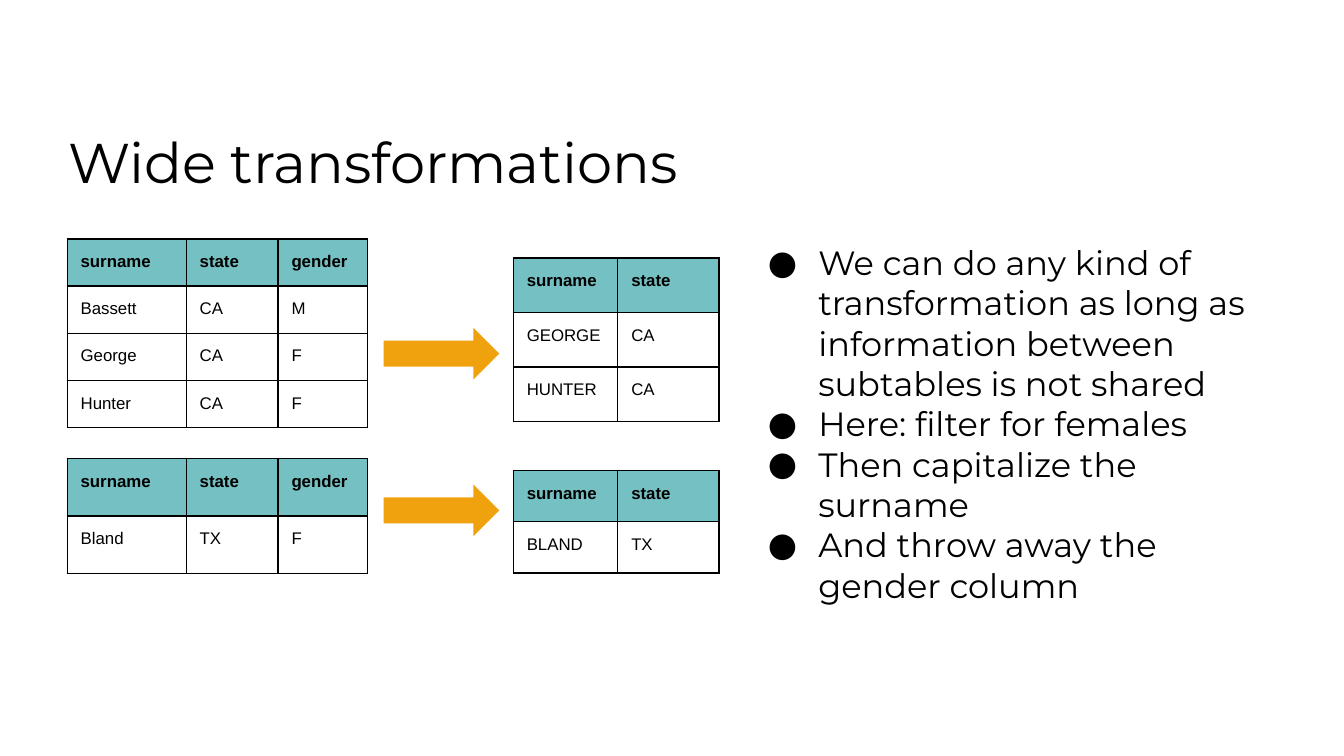
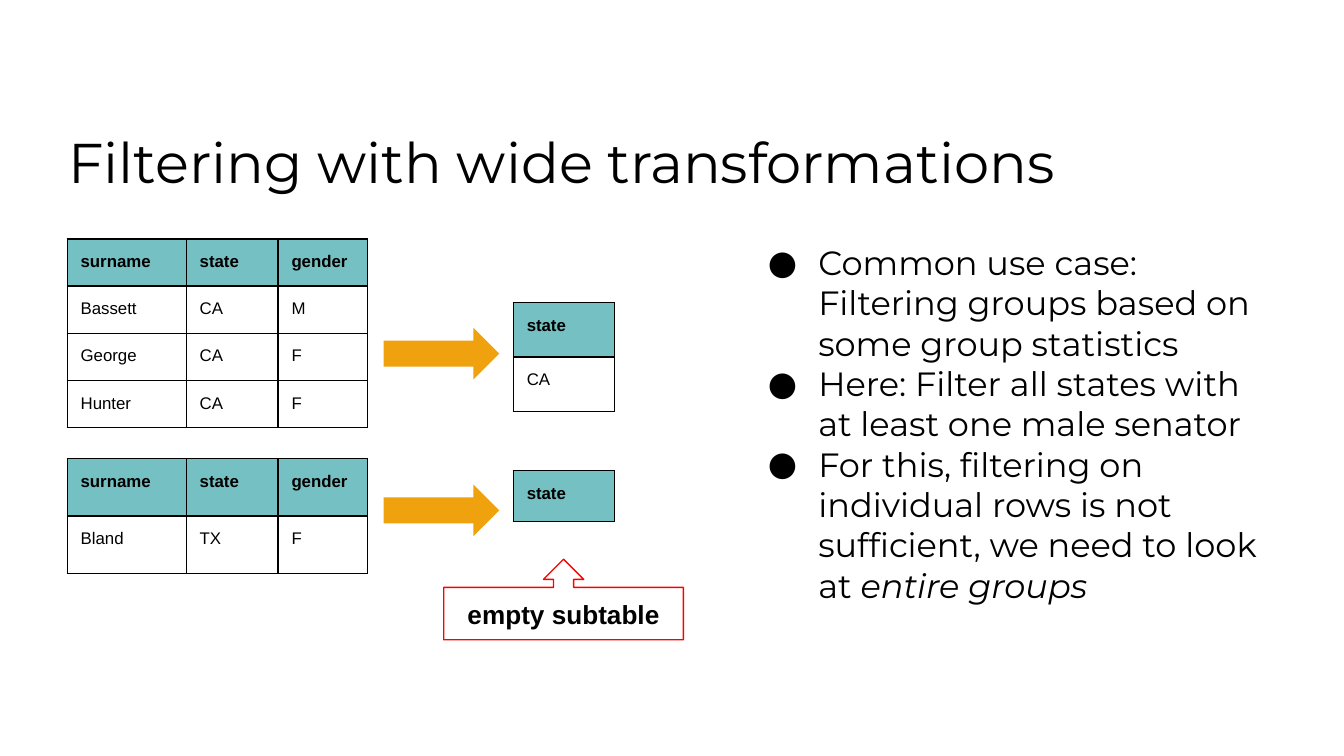
from lxml import etree
from pptx import Presentation
from pptx.dml.color import RGBColor
from pptx.enum import shapes, text
from pptx.oxml import ns
from pptx.util import Pt

BLACK, WHITE, RED = "000000", "FFFFFF", "FF0000"
TEAL, ORANGE = "74C0C2", "EFA20E"
HEADING_FONT, TABLE_FONT = "Montserrat", "Arial"
INSET = 7.2

TITLE_BOX = (29.5, 61.2, 666, 60)
BULLETS_BOX = (395.3, 122.4, 291, 248.4)
CALLOUT_BOX = (237.75, 299.6, 128.4, 43.2)
ARROW_SIZE = (62, 27.7)
ARROW_LEFT, ARROW_TOPS = 205.5, (175.6, 259.6)
SOURCE_LEFT, RESULT_LEFT = 36, 275
SOURCE_WIDTHS, RESULT_WIDTHS, STATE_WIDTHS = (63.8, 49.2, 47.8), (56, 54.2), (54.4,)

HEADER = ("surname", "state", "gender")
CALIFORNIA = [HEADER, ("Bassett", "CA", "M"), ("George", "CA", "F"), ("Hunter", "CA", "F")]
TEXAS = [HEADER, ("Bland", "TX", "F")]


def rgb(hex_colour):
    return RGBColor.from_string(hex_colour)


def points(*lengths):
    return [Pt(length) for length in lengths]


def add_xml(parent, tag, **attributes):
    return etree.SubElement(parent, ns.qn(tag), attributes)


def write(frame, paragraphs, size, font, bold=False, align=text.PP_ALIGN.LEFT,
          anchor=text.MSO_ANCHOR.TOP, bullet=None):
    """Fill a frame; each paragraph is a list of (words, italic) runs."""
    frame.word_wrap = True
    frame.vertical_anchor = anchor
    frame.margin_left = frame.margin_right = Pt(INSET)
    frame.margin_top = frame.margin_bottom = Pt(INSET)
    for index, runs in enumerate(paragraphs):
        paragraph = frame.add_paragraph() if index else frame.paragraphs[0]
        paragraph.alignment = align
        if bullet:
            add_bullet(paragraph, bullet, font)
        for words, italic in runs:
            run = paragraph.add_run()
            run.text = words
            run.font.size, run.font.name = Pt(size), font
            run.font.bold, run.font.italic = bold, italic
            run.font.color.rgb = rgb(BLACK)


def add_bullet(paragraph, bullet, font):
    properties = paragraph._p.get_or_add_pPr()
    properties.set("marL", str(Pt(36)))
    properties.set("indent", str(Pt(-27)))
    add_xml(add_xml(properties, "a:buClr"), "a:srgbClr", val=BLACK)
    add_xml(properties, "a:buFont", typeface=font)
    add_xml(properties, "a:buChar", char=bullet)


def add_title(slide, title):
    box = slide.shapes.add_textbox(*points(*TITLE_BOX))
    write(box.text_frame, [[(title, False)]], 30, HEADING_FONT)


def add_bullets(slide, paragraphs):
    box = slide.shapes.add_textbox(*points(*BULLETS_BOX))
    write(box.text_frame, paragraphs, 18, HEADING_FONT, bullet="●")


def add_borders(cell):
    properties = cell._tc.get_or_add_tcPr()
    for side in ("a:lnL", "a:lnR", "a:lnT", "a:lnB"):
        line = add_xml(properties, side, w=str(Pt(0.75)))
        add_xml(add_xml(line, "a:solidFill"), "a:srgbClr", val=BLACK)


def add_subtable(slide, left, top, widths, row_height, records):
    """Draw records as a grid whose first row is the header."""
    table = slide.shapes.add_table(
        len(records), len(widths),
        *points(left, top, sum(widths), row_height * len(records))).table
    table.horz_banding = False
    for column, width in zip(table.columns, widths):
        column.width = Pt(width)
    for row_index, record in enumerate(records):
        table.rows[row_index].height = Pt(row_height)
        is_header = row_index == 0
        for column_index, value in enumerate(record):
            cell = table.cell(row_index, column_index)
            cell.margin_left = cell.margin_right = Pt(INSET)
            cell.margin_top = cell.margin_bottom = Pt(INSET)
            write_cell(cell, value, is_header)


def write_cell(cell, value, is_header):
    paragraph = cell.text_frame.paragraphs[0]
    run = paragraph.add_run()
    run.text = value
    run.font.size, run.font.name, run.font.bold = Pt(9), TABLE_FONT, is_header
    run.font.color.rgb = rgb(BLACK)
    add_borders(cell)
    if is_header:
        cell.fill.solid()
        cell.fill.fore_color.rgb = rgb(TEAL)
    else:
        cell.fill.background()


def add_filled(slide, kind, box, fill, outline=None):
    shape = slide.shapes.add_shape(kind, *points(*box))
    shape.shadow.inherit = False
    shape.fill.solid()
    shape.fill.fore_color.rgb = rgb(fill)
    if outline:
        shape.line.color.rgb = rgb(outline)
        shape.line.width = Pt(0.75)
    else:
        shape.line.fill.background()
    return shape


def add_callout(slide, message):
    callout = add_filled(slide, shapes.MSO_SHAPE.UP_ARROW_CALLOUT, CALLOUT_BOX, WHITE, RED)
    write(callout.text_frame, [[(message, False)]], 14, TABLE_FONT, bold=True,
          align=text.PP_ALIGN.CENTER, anchor=text.MSO_ANCHOR.MIDDLE)


def add_transformation_slide(deck, title, results, bullets):
    """Show the source subtables, an arrow from each, its result, and the bullets."""
    slide = deck.slides.add_slide(deck.slide_layouts[6])
    add_title(slide, title)
    add_subtable(slide, SOURCE_LEFT, 128, SOURCE_WIDTHS, 24.85, CALIFORNIA)
    add_subtable(slide, SOURCE_LEFT, 245.7, SOURCE_WIDTHS, 30.7, TEXAS)
    for top in ARROW_TOPS:
        add_filled(slide, shapes.MSO_SHAPE.RIGHT_ARROW, (ARROW_LEFT, top, *ARROW_SIZE), ORANGE)
    for top, widths, row_height, records in results:
        add_subtable(slide, RESULT_LEFT, top, widths, row_height, records)
    add_bullets(slide, bullets)
    return slide


def main():
    deck = Presentation()
    deck.slide_width, deck.slide_height = points(720, 405)

    add_transformation_slide(
        deck, "Wide transformations",
        [(138.2, RESULT_WIDTHS, 29.2, [HEADER[:2], ("GEORGE", "CA"), ("HUNTER", "CA")]),
         (252.2, RESULT_WIDTHS, 27.4, [HEADER[:2], ("BLAND", "TX")])],
        [[("We can do any kind of transformation as long as information "
           "between subtables is not shared", False)],
         [("Here: filter for females", False)],
         [("Then capitalize the surname", False)],
         [("And throw away the gender column", False)]])

    filtering = add_transformation_slide(
        deck, "Filtering with wide transformations",
        [(162.1, STATE_WIDTHS, 29.2, [("state",), ("CA",)]),
         (252.2, STATE_WIDTHS, 27.4, [("state",)])],
        [[("Common use case: Filtering groups based on some group statistics", False)],
         [("Here: Filter all states with at least one male senator", False)],
         [("For this, filtering on individual rows is not sufficient, "
           "we need to look at ", False), ("entire groups", True)]])
    add_callout(filtering, "empty subtable")

    deck.save("out.pptx")


if __name__ == "__main__":
    main()
